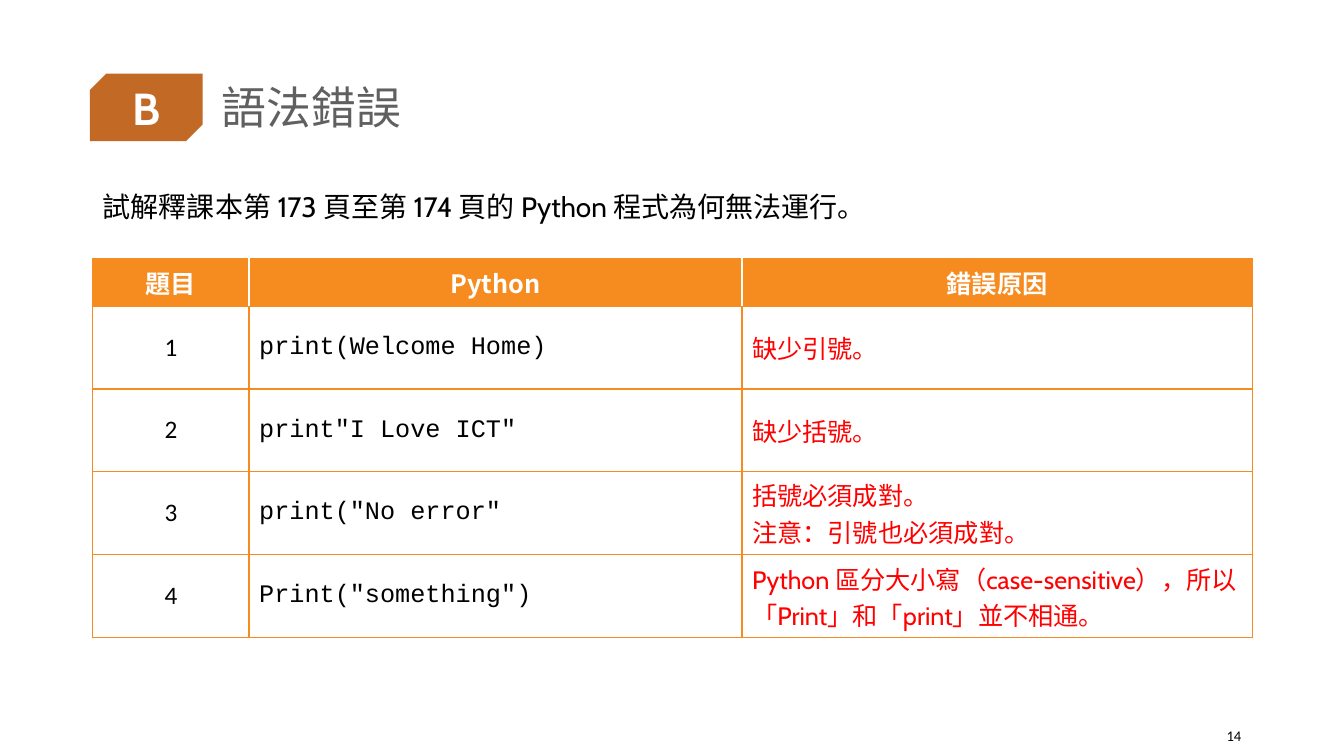
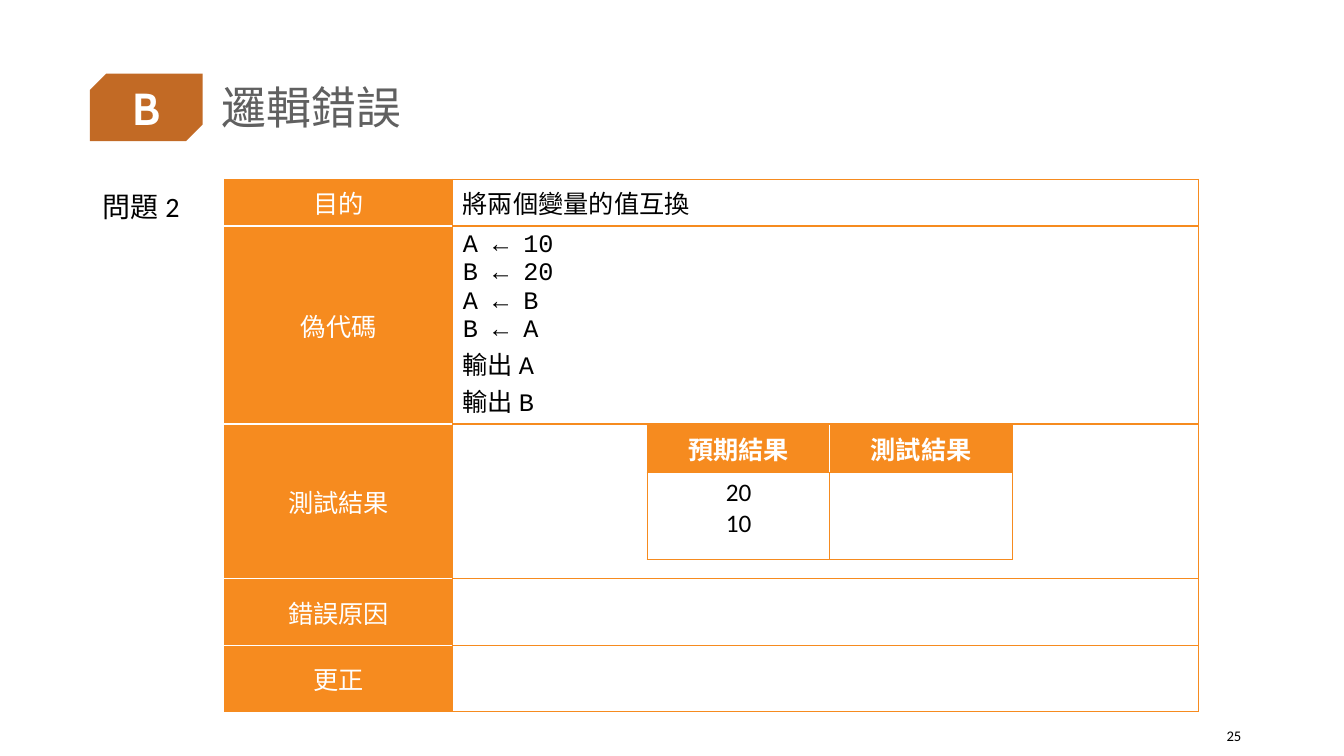
import dataclasses
import pptx
import pptx.dml.color
import pptx.enum.shapes
import pptx.enum.text
import pptx.oxml.ns
import pptx.util
from lxml import etree

ALIGN = pptx.enum.text.PP_ALIGN
ANCHOR = pptx.enum.text.MSO_ANCHOR
SCALE = 9144
qn = pptx.oxml.ns.qn


@dataclasses.dataclass(frozen=True)
class Theme:
    orange: str = "F68B1F"
    rust: str = "C26A25"
    gray: str = "606060"
    black: str = "000000"
    white: str = "FFFFFF"
    red: str = "FF0000"
    cjk: str = "Noto Sans CJK TC"
    main: str = "Cabin"
    plain: str = "Calibri"
    mono: str = "Courier New"
    big: float = 32
    lead: float = 20
    cell: float = 18
    foot: float = 10.5


T = Theme()
HEAD = dict(font=T.cjk, color=T.white, align=ALIGN.CENTER)
BOLD = dict(HEAD, bold=True)
DIGIT = dict(font=T.plain, align=ALIGN.CENTER)
CODE = dict(font=T.mono)
REASON = dict(font=T.main, color=T.red)
BADGE = (89, 73, 112, 67)


def px(n):
    return pptx.util.Emu(n * SCALE)


def rgb(code):
    return pptx.dml.color.RGBColor.from_string(code)


def place(shape, box):
    shape.left, shape.top, shape.width, shape.height = map(px, box)


def put(frame, text, font=T.cjk, size=T.cell, color=T.black, bold=False,
        align=ALIGN.LEFT, gap=1.0):
    for i, line in enumerate(text.split("\n")):
        para = frame.paragraphs[0] if i == 0 else frame.add_paragraph()
        props = para._p.get_or_add_pPr()
        props.set("marL", "0")
        props.set("indent", "0")
        etree.SubElement(props, qn("a:buNone"))
        para.alignment = align
        para.line_spacing = gap
        para.space_before = pptx.util.Pt(0)
        run = para.add_run()
        run.text = line
        run.font.name = font
        run.font.size = pptx.util.Pt(size)
        run.font.bold = bold
        run.font.color.rgb = rgb(color)
        etree.SubElement(run._r.get_or_add_rPr(), qn("a:ea"), typeface=T.cjk)


def fill_box(shape, box, text, anchor=ANCHOR.MIDDLE, **style):
    place(shape, box)
    frame = shape.text_frame
    frame.word_wrap = True
    frame.auto_size = pptx.enum.text.MSO_AUTO_SIZE.NONE
    frame.vertical_anchor = anchor
    put(frame, text, **style)


def badge(slide, box, holder, text):
    shape = slide.shapes.add_shape(
        pptx.enum.shapes.MSO_SHAPE.SNIP_2_DIAG_RECTANGLE, *map(px, box))
    shape.adjustments[0] = 0.245
    shape.adjustments[1] = 0
    shape.shadow.inherit = False
    shape.fill.solid()
    shape.fill.fore_color.rgb = rgb(T.rust)
    shape.line.fill.background()
    slide.shapes._spTree.insert(2, shape._element)
    x, y, w, h = box
    fill_box(holder, (x + 3, y + 2, w - 6, h - 3), text, font=T.main,
             size=T.big, color=T.white, bold=True, align=ALIGN.CENTER)


def page(deck, title, lead, number, font):
    slide = deck.slides.add_slide(deck.slide_layouts[3])
    name, mark, body = slide.placeholders
    badge(slide, BADGE, mark, "B")
    fill_box(name, (210, 40, 1032, 138), title, size=T.big, color=T.gray,
             gap=0.9)
    fill_box(body, (92, 176, 1150, 512), lead, ANCHOR.TOP, font=font,
             size=T.lead, gap=1.2)
    foot = slide.shapes.add_textbox(0, 0, 0, 0)
    fill_box(foot, (1157, 710, 84, 40), number, font=T.plain, size=T.foot,
             align=ALIGN.RIGHT)
    return slide


def edge(cell, side, color):
    line = etree.SubElement(cell._tc.get_or_add_tcPr(), qn("a:ln" + side),
                            w=str(pptx.util.Pt(1)))
    paint = etree.SubElement(line, qn("a:solidFill"))
    etree.SubElement(paint, qn("a:srgbClr"), val=color)


def grid(slide, spot, cols, rows, cells, heads, anchor=ANCHOR.MIDDLE):
    box = (*spot, sum(cols), sum(rows))
    table = slide.shapes.add_table(len(rows), len(cols),
                                   *map(px, box)).table
    table.first_row = table.horz_banding = False
    for col, width in zip(table.columns, cols):
        col.width = px(width)
    for row, height in zip(table.rows, rows):
        row.height = px(height)
    for r, line in enumerate(cells):
        for c, (text, style) in enumerate(line):
            cell = table.cell(r, c)
            near = dict(L=(r, c - 1), R=(r, c + 1), T=(r - 1, c), B=(r + 1, c))
            for side, spot in near.items():
                inner = (r, c) in heads and spot in heads
                edge(cell, side, T.white if inner else T.orange)
            cell.fill.solid()
            cell.fill.fore_color.rgb = rgb(
                T.orange if (r, c) in heads else T.white)
            cell.vertical_anchor = anchor
            if text:
                put(cell.text_frame, text, **style)


def syntax(deck):
    slide = page(deck, "語法錯誤",
                 "試解釋課本第 173 頁至第 174 頁的 Python 程式為何無法運行。",
                 "14", T.main)
    faults = [
        ("print(Welcome Home)", "缺少引號。"),
        ('print"I Love ICT"', "缺少括號。"),
        ('print("No error"', "括號必須成對。\n注意：引號也必須成對。"),
        ('Print("something")',
         "Python 區分大小寫（case-sensitive），所以「Print」和「print」並不相通。"),
    ]
    cells = [[(text, BOLD) for text in ("題目", "Python", "錯誤原因")]]
    cells += [[(str(i), DIGIT), (code, CODE), (why, REASON)]
              for i, (code, why) in enumerate(faults, 1)]
    grid(slide, (92, 257), (155, 489, 506), [47] + [82] * 4, cells,
         {(0, c) for c in range(3)})


def logic(deck):
    slide = page(deck, "邏輯錯誤", "問題 2", "25", T.plain)
    parts = [
        ("目的", "將兩個變量的值互換", {}),
        ("偽代碼", "A ← 10\nB ← 20\nA ← B\nB ← A\n輸出 A\n輸出 B", CODE),
        ("測試結果", "", {}),
        ("錯誤原因", "", {}),
        ("更正", "", {}),
    ]
    cells = [[(name, HEAD), (text, style)] for name, text, style in parts]
    grid(slide, (223, 178), (226, 740), (46, 196, 153, 67, 65), cells,
         {(r, 0) for r in range(5)})
    tests = [[("預期結果", BOLD), ("測試結果", BOLD)],
             [("20\n10", DIGIT), ("", {})]]
    grid(slide, (642, 422), (181, 181), (47, 86), tests,
         {(0, 0), (0, 1)}, ANCHOR.TOP)


def main():
    deck = pptx.Presentation()
    deck.slide_width, deck.slide_height = px(1333), px(750)
    syntax(deck)
    logic(deck)
    deck.save("out.pptx")


if __name__ == "__main__":
    main()
